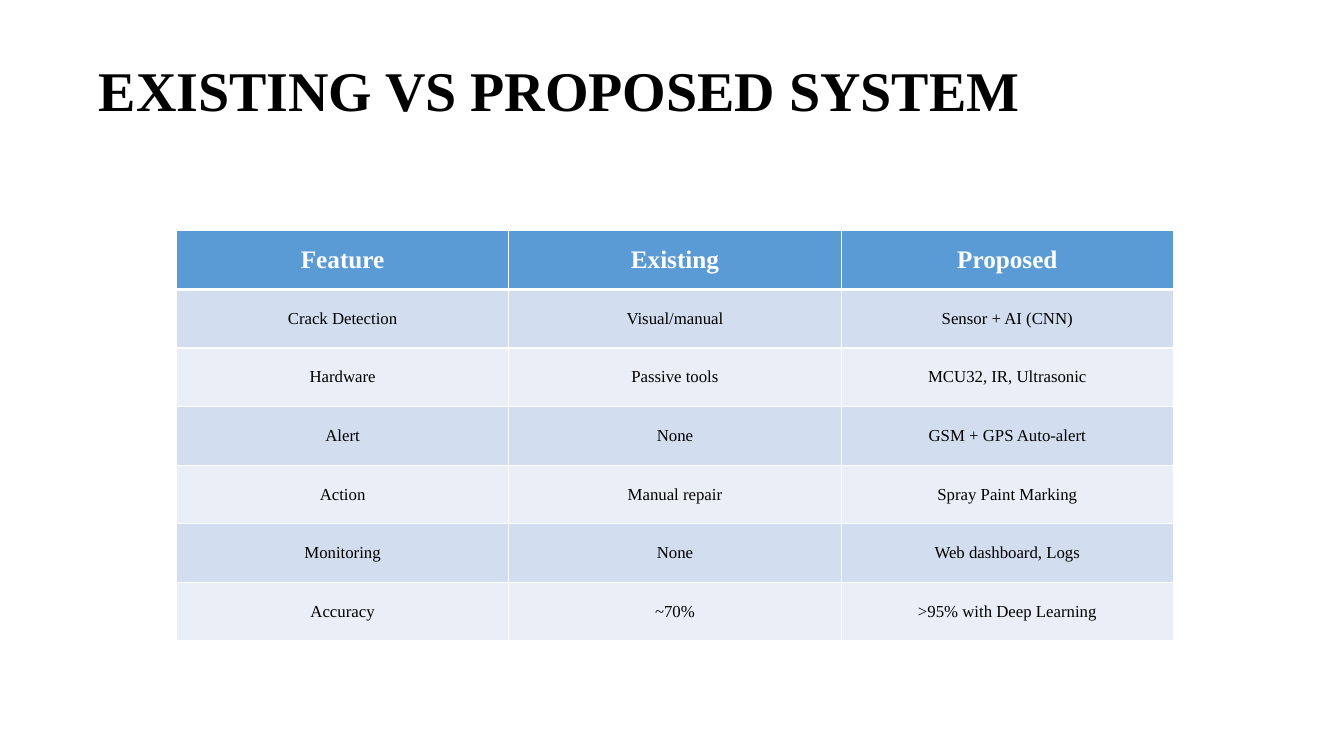
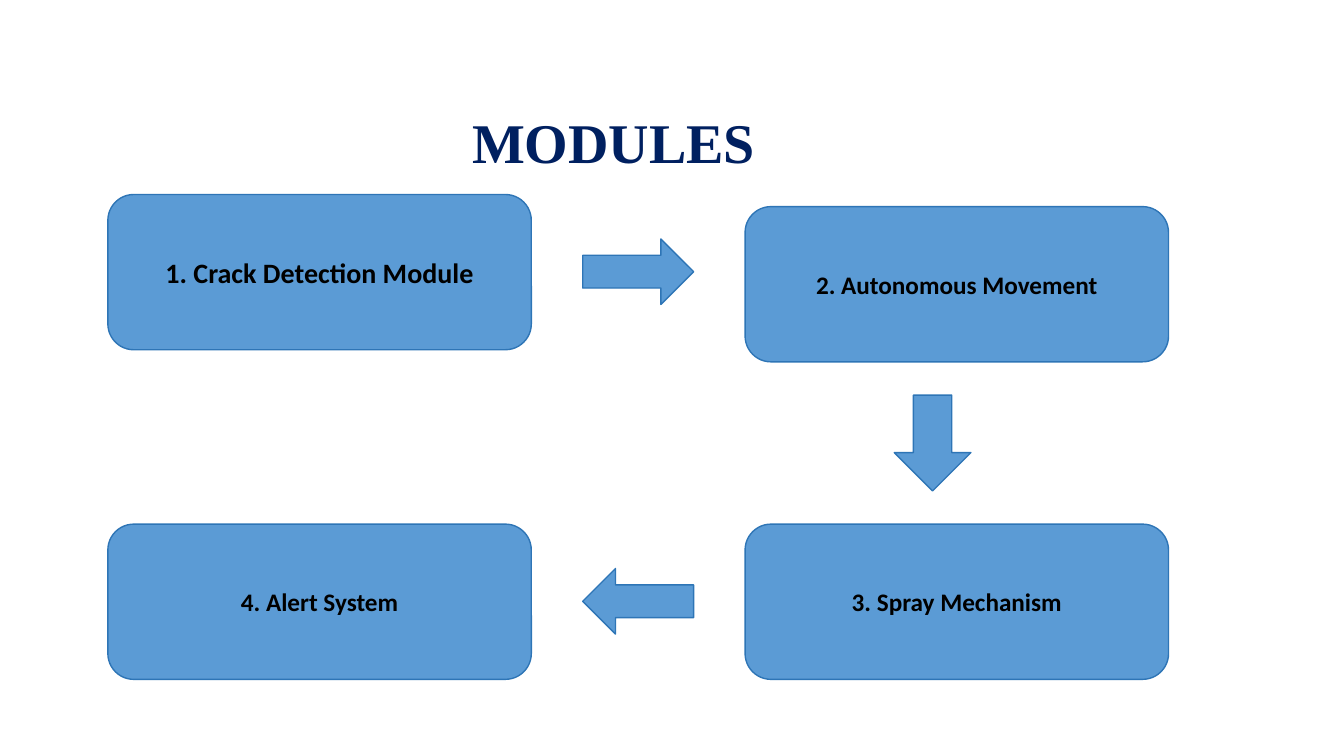
"""Build two slides: a system comparison table and a module flow."""
from dataclasses import dataclass

from lxml import etree
from pptx import Presentation
from pptx.dml.color import RGBColor
from pptx.enum.shapes import MSO_SHAPE
from pptx.enum.text import MSO_ANCHOR, MSO_AUTO_SIZE, PP_ALIGN
from pptx.oxml.ns import qn
from pptx.presentation import Presentation as Deck
from pptx.slide import Slide
from pptx.table import _Cell as Cell
from pptx.text.text import TextFrame
from pptx.util import Inches, Pt

LEFT, CENTER = PP_ALIGN.LEFT, PP_ALIGN.CENTER
MIDDLE, NO_FIT = MSO_ANCHOR.MIDDLE, MSO_AUTO_SIZE.NONE
ROUND = MSO_SHAPE.ROUNDED_RECTANGLE
RIGHT_ARROW, LEFT_ARROW = MSO_SHAPE.RIGHT_ARROW, MSO_SHAPE.LEFT_ARROW
DOWN_ARROW = MSO_SHAPE.DOWN_ARROW
TITLE_ONLY = 5


@dataclass(frozen=True)
class Theme:
    """Colours, fonts and type sizes of the deck."""
    black: str = "000000"
    white: str = "FFFFFF"
    navy: str = "002060"
    blue: str = "5B9BD5"
    edge: str = "2E75B6"
    bands: tuple[str, str] = ("D2DEEF", "EAEFF7")
    serif: str = "Times New Roman"
    sans: str = "Calibri"
    title: int = 40
    lead: int = 20
    head: int = 18
    cell: int = 12


THEME = Theme()


@dataclass(frozen=True)
class Area:
    """A rectangle in inches."""
    left: float
    top: float
    width: float
    height: float

    def emu(self) -> tuple[int, int, int, int]:
        """Return the four measures as lengths."""
        return (Inches(self.left), Inches(self.top),
                Inches(self.width), Inches(self.height))


@dataclass(frozen=True)
class Style:
    """The look of one line of text."""
    size: int
    color: str = THEME.black
    face: str = THEME.serif
    bold: bool = True
    align: PP_ALIGN = CENTER
    space: float = 1.0


@dataclass(frozen=True)
class Block:
    """A filled shape that may hold a label."""
    kind: MSO_SHAPE
    area: Area
    text: str = ""
    size: int = THEME.head


ROWS = (
    ("Feature", "Existing", "Proposed"),
    ("Crack Detection", "Visual/manual", "Sensor + AI (CNN)"),
    ("Hardware", "Passive tools", "MCU32, IR, Ultrasonic"),
    ("Alert", "None", "GSM + GPS Auto-alert"),
    ("Action", "Manual repair", "Spray Paint Marking"),
    ("Monitoring", "None", "Web dashboard, Logs"),
    ("Accuracy", "~70%", ">95% with Deep Learning"),
)

BOX = (4.2, 1.54)
SIDE = (1.1, 0.65)
COLS = (1.07, 7.39)
LOW = 5.2
MID = 5.78

FLOW = (
    Block(ROUND, Area(COLS[0], 1.93, *BOX), "1. Crack Detection Module", THEME.lead),
    Block(ROUND, Area(COLS[1], 2.05, *BOX), "2. Autonomous Movement"),
    Block(ROUND, Area(COLS[1], LOW, *BOX), "3. Spray Mechanism"),
    Block(ROUND, Area(COLS[0], LOW, *BOX), "4. Alert System"),
    Block(RIGHT_ARROW, Area(MID, 2.37, *SIDE)),
    Block(DOWN_ARROW, Area(8.87, 3.92, 0.76, 0.95)),
    Block(LEFT_ARROW, Area(MID, 5.64, *SIDE)),
)


def assign(item: object, values: dict[str, object]) -> None:
    """Set each named attribute of an item."""
    for name, value in values.items():
        setattr(item, name, value)


def write(frame: TextFrame, text: str, style: Style) -> None:
    """Put one styled line into a text frame."""
    line = frame.paragraphs[0]
    assign(line, {"alignment": style.align, "line_spacing": style.space})
    run = line.add_run()
    run.text = text
    assign(run.font, {"name": style.face, "size": Pt(style.size), "bold": style.bold})
    run.font.color.rgb = RGBColor.from_string(style.color)


def add_slide(deck: Deck, text: str, area: Area, color: str, align: PP_ALIGN) -> Slide:
    """Add a slide with its title in place."""
    slide = deck.slides.add_slide(deck.slide_layouts[TITLE_ONLY])
    title = slide.shapes.title
    assign(title, dict(zip(("left", "top", "width", "height"), area.emu())))
    assign(title.text_frame, {"word_wrap": True, "auto_size": NO_FIT,
                              "vertical_anchor": MIDDLE})
    write(title.text_frame, text, Style(THEME.title, color, align=align, space=0.9))
    return slide


def add_edges(cell: Cell, top: int, bottom: int) -> None:
    """Draw white borders round a cell."""
    props = cell._tc.get_or_add_tcPr()
    sides = {"a:lnL": 1, "a:lnR": 1, "a:lnT": top, "a:lnB": bottom}
    for spot, (tag, width) in enumerate(sides.items()):
        line = etree.Element(qn(tag), w=str(Pt(width)))
        fill = etree.SubElement(line, qn("a:solidFill"))
        etree.SubElement(fill, qn("a:srgbClr"), val=THEME.white)
        props.insert(spot, line)


def add_grid(slide: Slide, area: Area) -> None:
    """Add the comparison table."""
    grid = slide.shapes.add_table(len(ROWS), len(ROWS[0]), *area.emu()).table
    head = Style(THEME.head, THEME.white)
    body = Style(THEME.cell, bold=False)
    sides = ("left", "right", "top", "bottom")
    form = {f"margin_{side}": 0 for side in sides} | {"vertical_anchor": MIDDLE}
    for row, texts in enumerate(ROWS):
        color = THEME.bands[(row - 1) % 2] if row else THEME.blue
        for col, text in enumerate(texts):
            cell = grid.cell(row, col)
            assign(cell, form)
            cell.fill.solid()
            cell.fill.fore_color.rgb = RGBColor.from_string(color)
            write(cell.text_frame, text, body if row else head)
            add_edges(cell, 3 if row == 1 else 1, 1 if row else 3)


def add_block(slide: Slide, block: Block) -> None:
    """Add one box or arrow of the flow."""
    shape = slide.shapes.add_shape(block.kind, *block.area.emu())
    shape.shadow.inherit = False
    shape.fill.solid()
    shape.fill.fore_color.rgb = RGBColor.from_string(THEME.blue)
    shape.line.color.rgb = RGBColor.from_string(THEME.edge)
    shape.line.width = Pt(1)
    if block.text:
        assign(shape.text_frame, {"word_wrap": True, "vertical_anchor": MIDDLE})
        write(shape.text_frame, block.text, Style(block.size, face=THEME.sans))


def main() -> None:
    """Build and save the deck."""
    deck = Presentation()
    assign(deck, {"slide_width": Inches(13.33), "slide_height": Inches(7.5)})
    slide = add_slide(deck, "EXISTING VS PROPOSED SYSTEM",
                      Area(0.88, 0.42, 11.37, 1.01), THEME.black, LEFT)
    add_grid(slide, Area(1.75, 2.29, 9.89, 4.07))
    slide = add_slide(deck, "MODULES", Area(1.26, 0.36, 9.65, 2.17), THEME.navy, CENTER)
    for block in FLOW:
        add_block(slide, block)
    deck.save("out.pptx")


if __name__ == "__main__":
    main()
